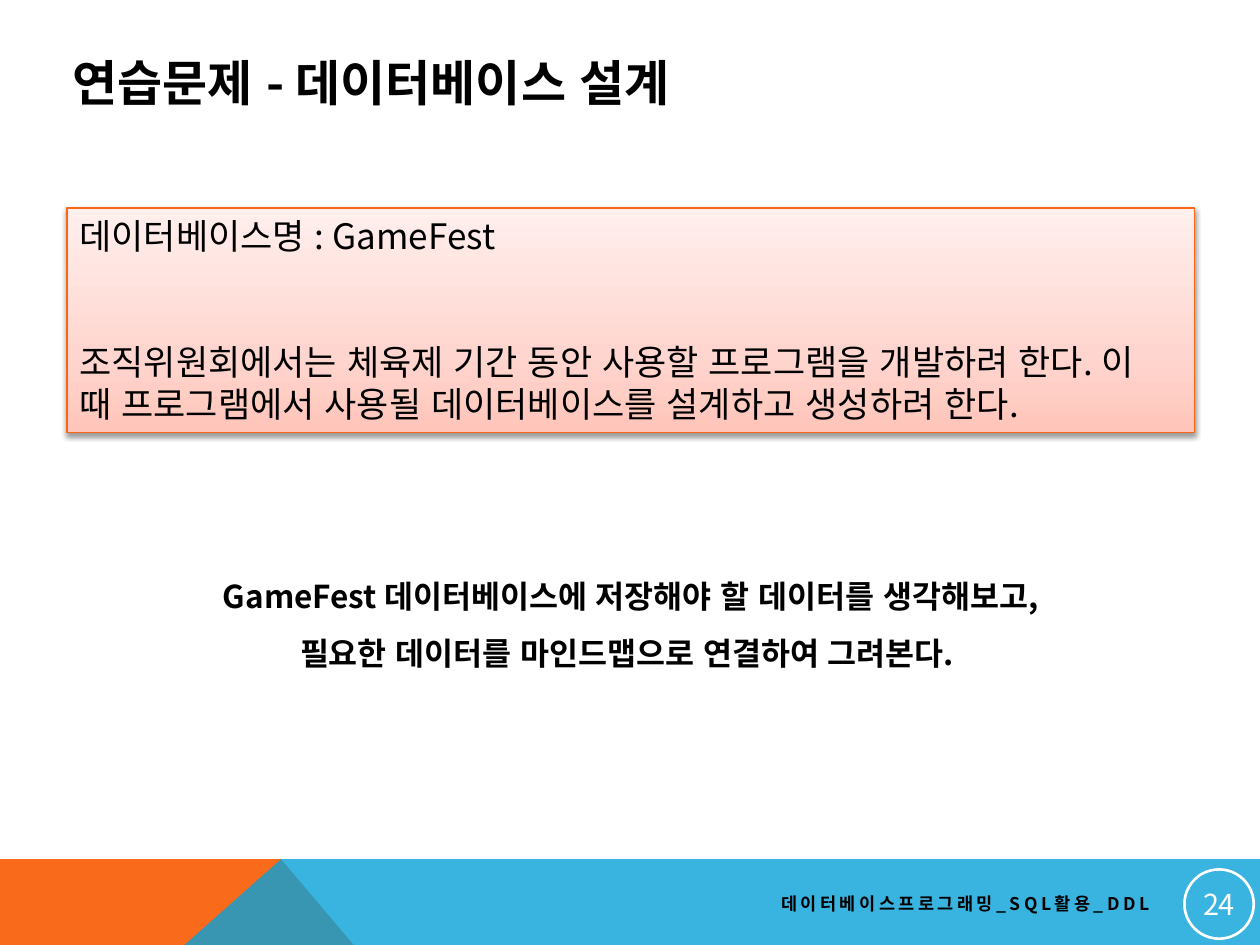
from dataclasses import dataclass
from lxml import etree
from pptx import Presentation
from pptx import util as u
from pptx.dml import color
from pptx.enum import lang, shapes, text
from pptx.oxml import ns

Pt = u.Pt


@dataclass(frozen=True)
class Theme:
    font: str = "Noto Sans CJK KR"
    ink: str = "000000"
    white: str = "FFFFFF"
    orange: str = "F96A1B"
    blue: str = "08A1D9"
    edge: str = "F96615"
    blend: tuple = ((0, "FFC5BA"), (35, "FFD6CF"), (100, "FFEFED"))
    title: float = 28
    body: float = 20
    task: float = 18
    page: float = 16.5
    foot: float = 10


T = Theme()
LEFT, MID, RIGHT = text.PP_ALIGN.LEFT, text.PP_ALIGN.CENTER, text.PP_ALIGN.RIGHT
TOP, CORE = text.MSO_ANCHOR.TOP, text.MSO_ANCHOR.MIDDLE


def rgb(code):
    return color.RGBColor.from_string(code)


def node(root, tag, **attrs):
    return etree.SubElement(root, ns.qn("a:" + tag), {k: str(v) for k, v in attrs.items()})


def write(shape, lines, size, tint=T.ink, bold=False, align=LEFT, anchor=TOP,
          inset=None, lead=None, gap=0, track=0):
    frame = shape.text_frame
    frame.word_wrap = True
    frame.vertical_anchor = anchor
    if inset is not None:
        frame.margin_left = frame.margin_right = Pt(inset)
        frame.margin_top = frame.margin_bottom = Pt(inset)
    for i, line in enumerate(lines):
        para = frame.add_paragraph() if i else frame.paragraphs[0]
        para.alignment = align
        if lead:
            para.line_spacing = lead
        if i and gap:
            para.space_before = Pt(gap)
        run = para.add_run()
        run.text = line
        font = run.font
        font.name, font.size, font.bold = T.font, Pt(size), bold
        font.language_id = lang.MSO_LANGUAGE_ID.KOREAN
        font.color.rgb = rgb(tint)
        props = run._r.get_or_add_rPr()
        props.set("kern", "0")
        node(props, "ea", typeface=T.font)
        if track:
            props.set("spc", str(track * 100))


def label(slide, box, lines, size, **style):
    write(slide.shapes.add_textbox(*map(Pt, box)), lines, size, **style)


def band(slide, points, tint, alpha=100):
    dots = [(Pt(x), Pt(y)) for x, y in points]
    pen = slide.shapes.build_freeform(*dots[0], scale=1.0)
    pen.add_line_segments(dots[1:], close=True)
    shape = pen.convert_to_shape()
    shape.shadow.inherit = False
    shape.fill.solid()
    shape.fill.fore_color.rgb = rgb(tint)
    shape.line.fill.background()
    if alpha < 100:
        hue = shape._element.spPr.find(".//" + ns.qn("a:srgbClr"))
        node(hue, "alpha", val=alpha * 1000)


def badge(slide, box, line):
    shape = slide.shapes.add_shape(shapes.MSO_SHAPE.OVAL, *map(Pt, box))
    shape.shadow.inherit = False
    shape.fill.background()
    shape.line.color.rgb = rgb(T.white)
    shape.line.width = Pt(1.5)
    write(shape, [line], T.page, tint=T.white, align=MID, anchor=CORE, inset=0.72)


def blend(shape, stops):
    shape.fill.gradient()
    shape.fill.gradient_angle = 90
    grad = shape._element.spPr.find(ns.qn("a:gradFill"))
    group = grad.find(ns.qn("a:gsLst"))
    for stop in list(group):
        group.remove(stop)
    for pos, tint in stops:
        node(node(group, "gs", pos=pos * 1000), "srgbClr", val=tint)
    grad.find(ns.qn("a:lin")).set("ang", "16200000")


def shade(shape):
    shape.shadow.inherit = False
    group = shape._element.spPr.find(ns.qn("a:effectLst"))
    drop = node(group, "outerShdw", blurRad=Pt(3.1), dist=Pt(1.6),
                dir=5400000, rotWithShape=0)
    node(node(drop, "srgbClr", val=T.ink), "alpha", val=38000)


def panel(slide, box, lines):
    shape = slide.shapes.add_shape(shapes.MSO_SHAPE.RECTANGLE, *map(Pt, box))
    blend(shape, T.blend)
    shape.line.color.rgb = rgb(T.edge)
    shape.line.width = Pt(0.75)
    shade(shape)
    write(shape, lines, T.body, gap=2.4 * T.body)
    shape.text_frame.margin_right = Pt(14)


def main():
    deck = Presentation()
    deck.slide_width, deck.slide_height = Pt(720), Pt(540)
    slide = deck.slides.add_slide(deck.slide_layouts[6])
    top, base, peak = 491, 633.6, 160.6
    band(slide, [(0, base), (0, top), (peak, top), (281.5, base)], T.orange)
    band(slide, [(0, base), (peak, top), (720, top), (720, base)], T.blue, 80)
    label(slide, (257.8, 505.4, 406, 21.6), ["데이터베이스프로그래밍_SQL활용_DDL"],
          T.foot, bold=True, align=RIGHT, anchor=CORE, track=2)
    badge(slide, (676.8, 496.8, 39.6, 39.6), "24")
    label(slide, (34.6, 25.2, 591.8, 43.2), ["연습문제 - 데이터베이스 설계"],
          T.title, bold=True, anchor=CORE)
    label(slide, (105.1, 315.4, 510.5, 72.7),
          ["GameFest 데이터베이스에 저장해야 할 데이터를 생각해보고,",
           "필요한 데이터를 마인드맵으로 연결하여 그려본다. "],
          T.task, bold=True, align=MID, lead=1.5)
    panel(slide, (38.2, 118.8, 644.4, 128.2),
          ["데이터베이스명 : GameFest",
           "조직위원회에서는 체육제 기간 동안 사용할 프로그램을 개발하려 한다. "
           "이 때 프로그램에서 사용될 데이터베이스를 설계하고 생성하려 한다. "])
    deck.save("out.pptx")


main()
